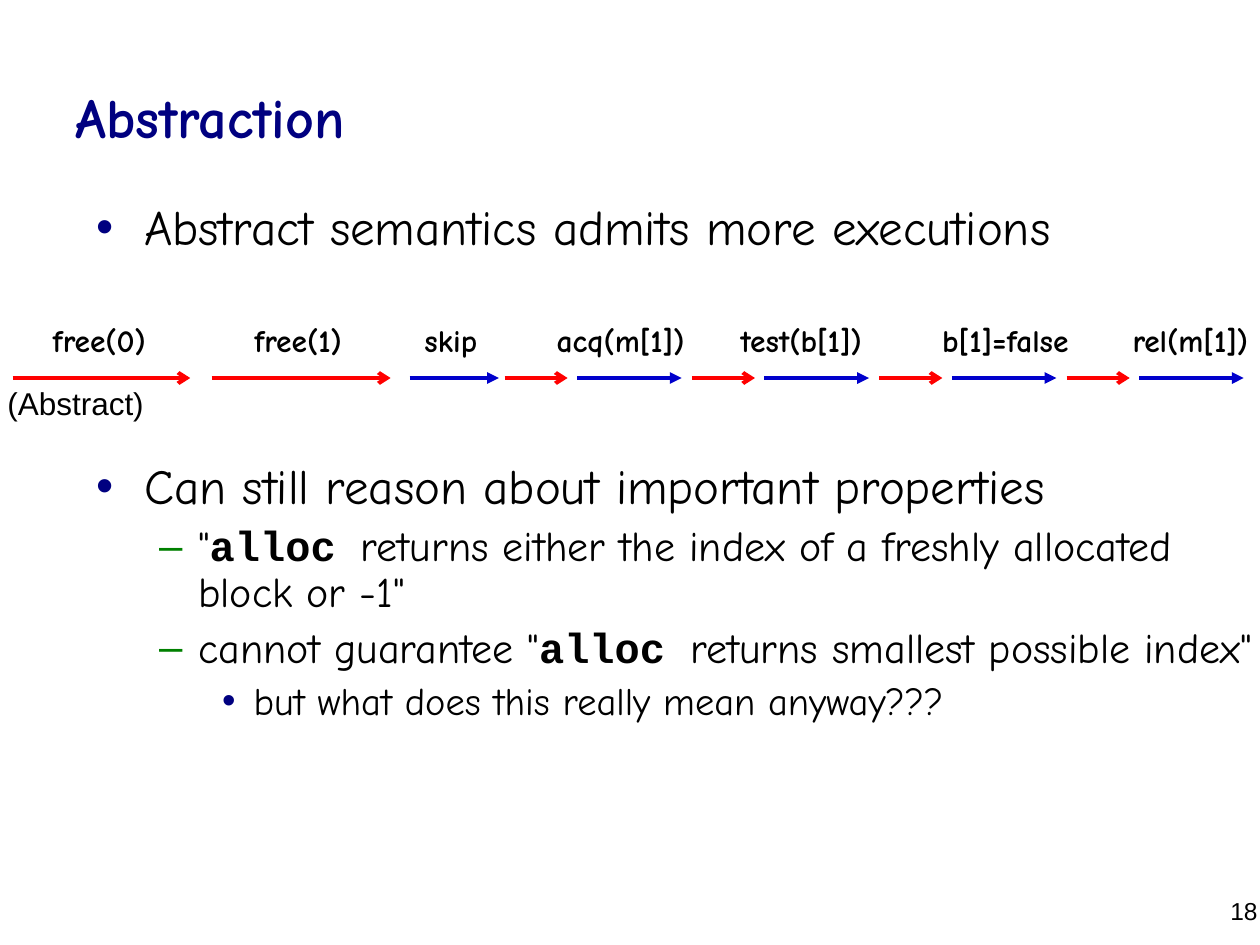
from lxml import etree
from pptx import Presentation
from pptx.dml.color import RGBColor
from pptx.enum.shapes import MSO_CONNECTOR
from pptx.enum.text import MSO_ANCHOR, MSO_AUTO_SIZE, PP_ALIGN
from pptx.oxml.ns import qn
from pptx.util import Inches, Pt

STRAIGHT = MSO_CONNECTOR.STRAIGHT
TOP, MIDDLE = MSO_ANCHOR.TOP, MSO_ANCHOR.MIDDLE
LEFT, CENTER, RIGHT = PP_ALIGN.LEFT, PP_ALIGN.CENTER, PP_ALIGN.RIGHT
FIT_SHAPE = MSO_AUTO_SIZE.SHAPE_TO_FIT_TEXT
HAND, CODE, PLAIN = "Comic Neue", "Courier New", "Arial"
NAVY, BLUE, RED, GREEN, BLACK = "000080", "0000CC", "FF0000", "008000", "000000"

presentation = Presentation()
presentation.slide_width = Inches(10)
presentation.slide_height = Inches(7.5)
COLUMN = presentation.slide_width / 100
ROW = presentation.slide_height / 75
slide = presentation.slides.add_slide(presentation.slide_layouts[6])


def add_box(left, top, width, height, anchor=TOP, wrap=True):
    box = slide.shapes.add_textbox(
        round(left * COLUMN), round(top * ROW), round(width * COLUMN), round(height * ROW)
    )
    box.text_frame.word_wrap = wrap
    box.text_frame.vertical_anchor = anchor
    if not wrap:
        box.text_frame.auto_size = FIT_SHAPE
    return box.text_frame


def add_run(paragraph, text, size, font=HAND, bold=False, color=BLACK):
    run = paragraph.add_run()
    run.text = text
    run.font.size = Pt(size)
    run.font.name = font
    run.font.bold = bold
    run.font.color.rgb = RGBColor.from_string(color)


title = add_box(5, 3, 90, 12.5, MIDDLE).paragraphs[0]
add_run(title, "Abstraction", 32, bold=True, color=NAVY)

levels = [
    (28, 0.38, 0.38, "•", NAVY),
    (24, 0.81, 0.31, "–", GREEN),
    (22, 1.25, 0.25, "•", NAVY),
]
points = [
    (0, 0, [("Abstract semantics admits more executions", False)]),
    (0, 118, [("Can still reason about important properties", False)]),
    (1, 6, [
        ('"', False),
        ("alloc ", True),
        ('returns either the index of a freshly allocated block or -1"', False),
    ]),
    (1, 6, [
        ('cannot guarantee "', False),
        ("alloc ", True),
        ('returns smallest possible index"', False),
    ]),
    (2, 5.5, [("but what does this really mean anyway???", False)]),
]
body = add_box(6.65, 15.6, 95, 52.8)
for index, (level, space, pieces) in enumerate(points):
    size, indent, hanging, bullet, bullet_color = levels[level]
    paragraph = body.add_paragraph() if index else body.paragraphs[0]
    paragraph.level = level
    paragraph.line_spacing = 0.9
    paragraph.space_before = Pt(space)
    properties = paragraph._p.get_or_add_pPr()
    properties.set("marL", str(Inches(indent)))
    properties.set("indent", str(-Inches(hanging)))
    color_element = etree.SubElement(properties, qn("a:buClr"))
    etree.SubElement(color_element, qn("a:srgbClr"), val=bullet_color)
    etree.SubElement(properties, qn("a:buFont"), typeface=PLAIN)
    etree.SubElement(properties, qn("a:buChar"), char=bullet)
    for text, is_code in pieces:
        add_run(paragraph, text, size, CODE if is_code else HAND, is_code)

PERIOD = 14.87
arrows = [(1, 14.1, RED), (16.8, 14.2, RED), (32.5, 7.1, BLUE)]
for step in range(4):
    arrows.append((40.05 + step * PERIOD, 5, RED))
    arrows.append((45.8 + step * PERIOD, 8.3, BLUE))
for left, length, color in arrows:
    arrow = slide.shapes.add_connector(
        STRAIGHT, round(left * COLUMN), round(30 * ROW),
        round((left + length) * COLUMN), round(30 * ROW)
    )
    arrow.line.color.rgb = RGBColor.from_string(color)
    arrow.line.width = Pt(2.25)
    head = "arrow" if color == RED else "triangle"
    etree.SubElement(arrow.line._get_or_add_ln(), qn("a:tailEnd"), type=head)
    etree.SubElement(arrow._element.spPr, qn("a:effectLst"))

labels = [
    ("free(0)", 3.2, 9.8),
    ("free(1)", 19.2, 9.3),
    ("skip", 32.7, 6.5),
    ("acq(m[1])", 43.2, 12.6),
    ("test(b[1])", 57.8, 12),
    ("b[1]=false", 73.8, 12.4),
    ("rel(m[1])", 88.9, 11.5),
]
for text, left, width in labels:
    label = add_box(left, 25, width, 4, wrap=False).paragraphs[0]
    label.alignment = LEFT
    add_run(label, text, 18, bold=True)

caption = add_box(-0.9, 30, 13.8, 4, MIDDLE, wrap=False).paragraphs[0]
caption.alignment = CENTER
add_run(caption, "(Abstract)", 18, PLAIN)

number = add_box(77.5, 70.6, 23.3, 4.4).paragraphs[0]
number.alignment = RIGHT
add_run(number, "18", 14, PLAIN)

presentation.save("out.pptx")
